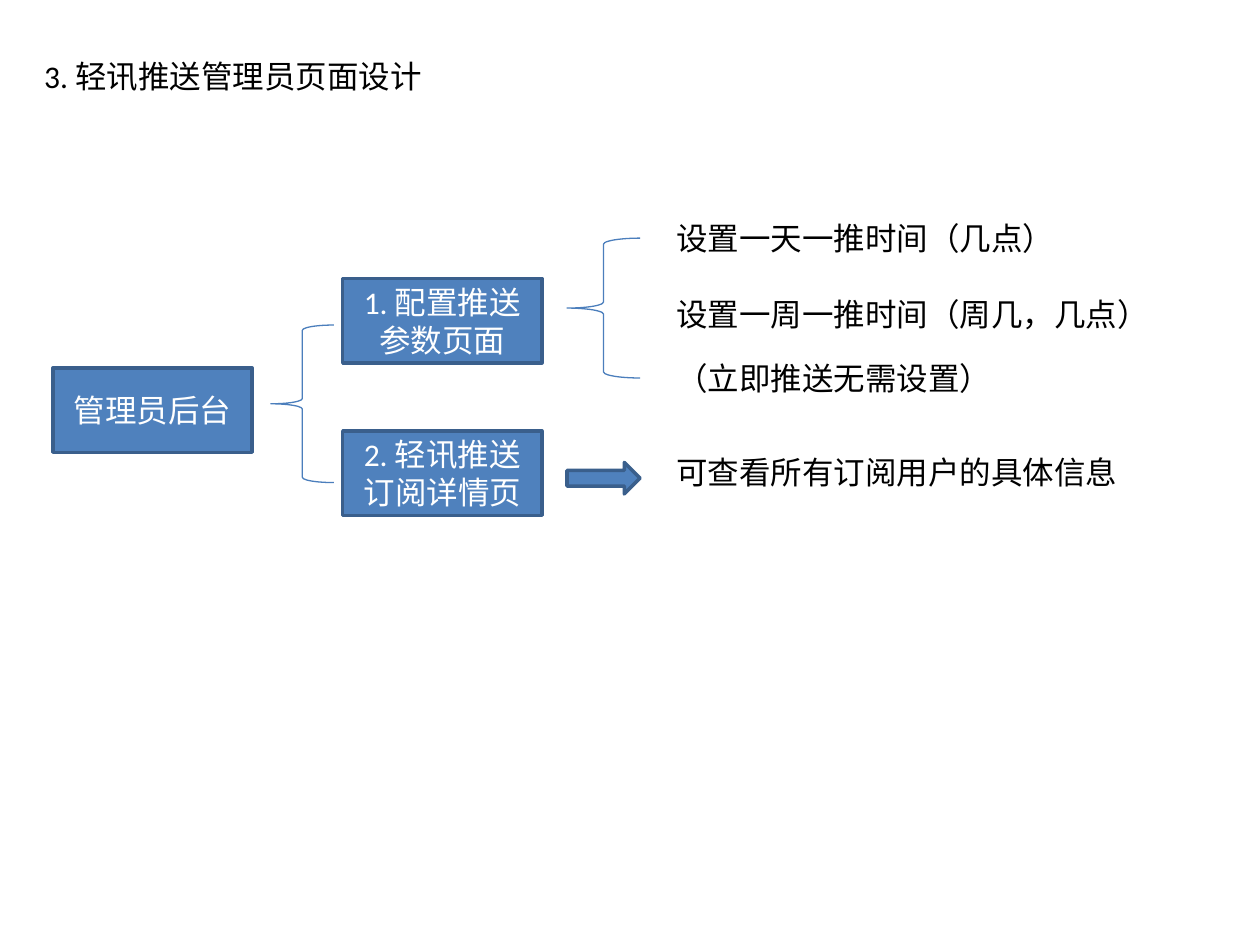
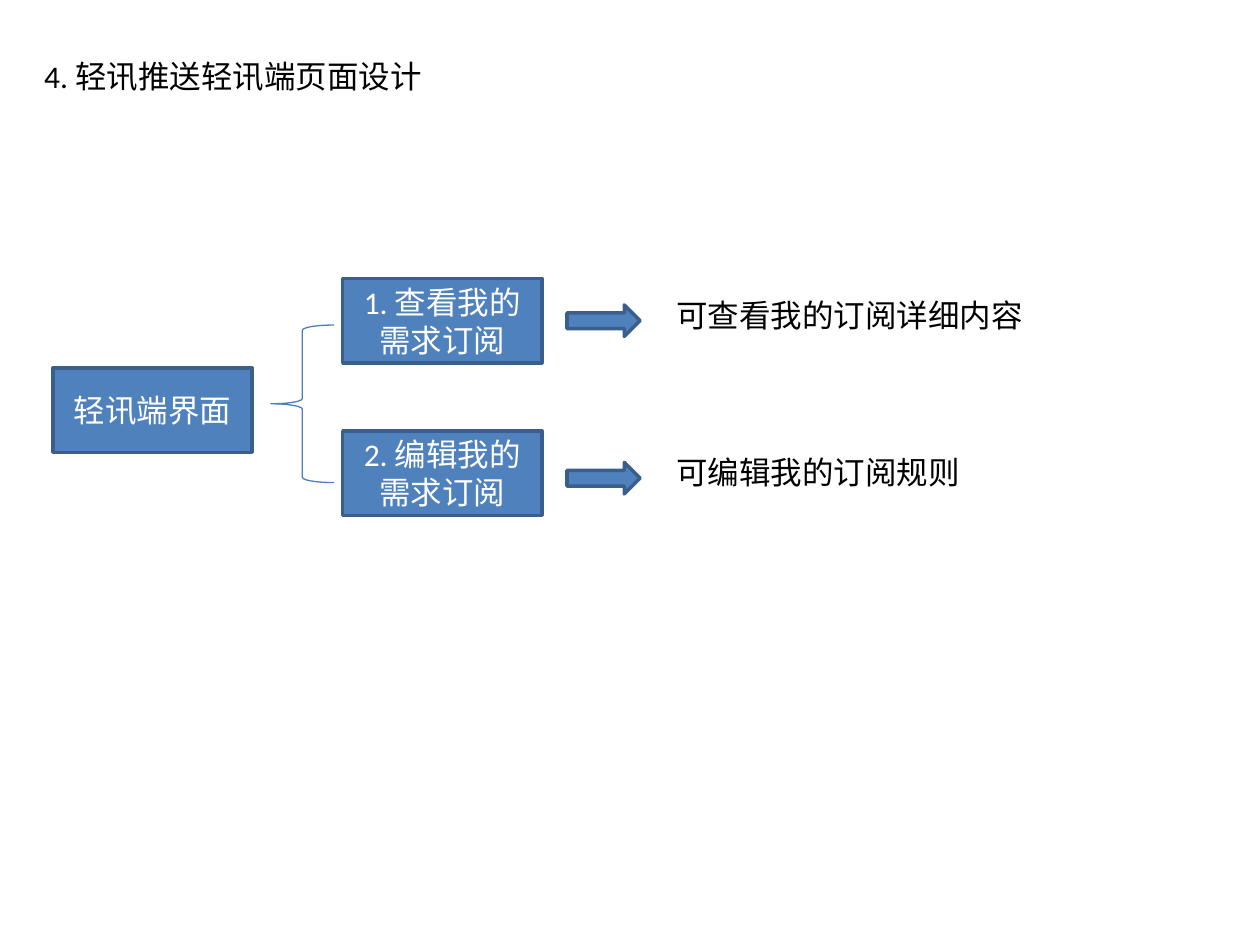
"""Build two slides that map the push service's admin and user pages."""
import pptx
import pptx.util
import pptx.dml.color
import pptx.enum.shapes
import pptx.enum.text

SLIDES = [
    {
        "title": "3. 轻讯推送管理员页面设计",
        "root": "管理员后台",
        "pages": ["1. 配置推送参数页面", "2. 轻讯推送订阅详情页"],
        "links": [("brace", 1.89, 1.11), ("arrow", 3.67, 0.25)],
        "notes": [
            ("设置一天一推时间（几点）", 1.69),
            ("设置一周一推时间（周几，几点）", 2.29),
            ("（立即推送无需设置）", 2.8),
            ("可查看所有订阅用户的具体信息", 3.55),
        ],
    },
    {
        "title": "4. 轻讯推送轻讯端页面设计",
        "root": "轻讯端界面",
        "pages": ["1. 查看我的需求订阅", "2. 编辑我的需求订阅"],
        "links": [("arrow", 2.42, 0.25), ("arrow", 3.67, 0.25)],
        "notes": [
            ("可查看我的订阅详细内容", 2.3),
            ("可编辑我的订阅规则", 3.55),
        ],
    },
]
COLORS = {"fill": "4F81BD", "edge": "3A5F8C", "brace": "4B7EBC",
          "dark": "000000", "light": "FFFFFF"}
FONT, SIZE = "Calibri", 18
BOX_W, BOX_H = 1.58, 0.67
ROOT_X, ROOT_Y = 0.42, 2.92
PAGE_X, PAGE_Y, PAGE_STEP = 2.72, 2.21, 1.21
LINK_X, LINK_W = 4.5, 0.58
NOTE_X, NOTE_H, CHAR_W, PAD = 5.27, 0.4, 0.253, 0.2

Inches = pptx.util.Inches
ALIGN = pptx.enum.text.PP_ALIGN
ANCHOR = pptx.enum.text.MSO_ANCHOR
KIND = pptx.enum.shapes.MSO_SHAPE


def color(name):
    return pptx.dml.color.RGBColor.from_string(COLORS[name])


def write(shape, text, ink, align, anchor, wrap=True):
    frame = shape.text_frame
    frame.text = text
    frame.word_wrap = wrap
    frame.vertical_anchor = anchor
    par = frame.paragraphs[0]
    par.alignment = align
    par.font.name = FONT
    par.font.size = pptx.util.Pt(SIZE)
    par.font.color.rgb = color(ink)


def add_form(slide, kind, *place):
    form = slide.shapes.add_shape(kind, *map(Inches, place))
    form.shadow.inherit = False
    form.fill.solid()
    form.fill.fore_color.rgb = color("fill")
    form.line.color.rgb = color("edge")
    form.line.width = pptx.util.Pt(2)
    return form


def add_box(slide, text, left, top):
    box = add_form(slide, KIND.RECTANGLE, left, top, BOX_W, BOX_H)
    write(box, text, "light", ALIGN.CENTER, ANCHOR.MIDDLE)


def add_brace(slide, *place):
    brace = add_form(slide, KIND.LEFT_BRACE, *place)
    brace.fill.background()
    brace.line.color.rgb = color("brace")
    brace.line.width = pptx.util.Pt(0.75)


def add_link(slide, kind, top, height):
    place = LINK_X, top, LINK_W, height
    if kind == "brace":
        add_brace(slide, *place)
    else:
        add_form(slide, KIND.RIGHT_ARROW, *place)


def add_note(slide, text, top):
    place = NOTE_X, top, PAD + CHAR_W * len(text), NOTE_H
    note = slide.shapes.add_textbox(*map(Inches, place))
    write(note, text, "dark", ALIGN.LEFT, ANCHOR.TOP, wrap=False)


def set_title(slide, text):
    title = slide.shapes.title
    title.left, title.top = Inches(0.25), Inches(0.4)
    title.width, title.height = Inches(3.23), Inches(0.4)
    write(title, text, "dark", ALIGN.LEFT, ANCHOR.TOP)
    title.text_frame.auto_size = pptx.enum.text.MSO_AUTO_SIZE.NONE


def add_slide(deck, data):
    slide = deck.slides.add_slide(deck.slide_layouts[5])
    set_title(slide, data["title"])
    add_box(slide, data["root"], ROOT_X, ROOT_Y)
    add_brace(slide, 2.15, 2.58, 0.5, 1.25)
    for row, text in enumerate(data["pages"]):
        add_box(slide, text, PAGE_X, PAGE_Y + row * PAGE_STEP)
    for link in data["links"]:
        add_link(slide, *link)
    for note in data["notes"]:
        add_note(slide, *note)


def main():
    deck = pptx.Presentation()
    deck.slide_width, deck.slide_height = Inches(10), Inches(7.5)
    for data in SLIDES:
        add_slide(deck, data)
    deck.save("out.pptx")


if __name__ == "__main__":
    main()
